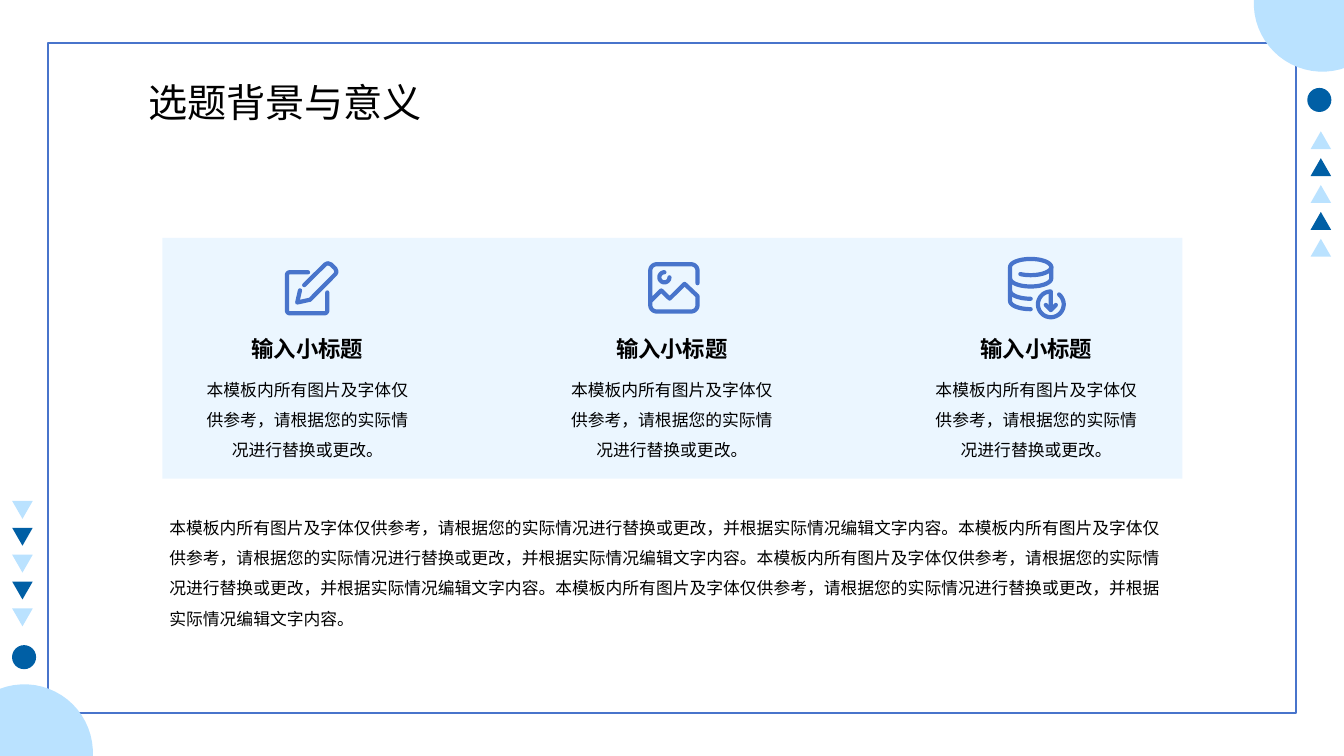
from math import cos, radians, sin

from lxml import etree
from pptx import Presentation
from pptx.dml.color import RGBColor
from pptx.enum.shapes import MSO_SHAPE
from pptx.enum.text import MSO_ANCHOR, MSO_AUTO_SIZE, PP_ALIGN
from pptx.oxml.ns import qn
from pptx.util import Pt

RECT, OVAL, TRIANGLE = MSO_SHAPE.RECTANGLE, MSO_SHAPE.OVAL, MSO_SHAPE.ISOSCELES_TRIANGLE
LEFT, CENTER = PP_ALIGN.LEFT, PP_ALIGN.CENTER
COLORS = {"blue": "4874CB", "light": "BAE2FF", "dark": "005FA5", "text": "000000"}
FONT = "Calibri"
ICON_STROKE = 3

SENTENCE = "本模板内所有图片及字体仅供参考，请根据您的实际情况进行替换或更改"
CARD_TEXT = SENTENCE + "。"
SUMMARY = (SENTENCE + "，并根据实际情况编辑文字内容。") * 4
HEADING = "输入小标题"


def rgb(name):
    return RGBColor.from_string(COLORS[name])


def style(sp, fill=None, line=None, width=1):
    sp.shadow.inherit = False
    if fill:
        sp.fill.solid()
        sp.fill.fore_color.rgb = rgb(fill)
    else:
        sp.fill.background()
    if line:
        sp.line.color.rgb = rgb(line)
        sp.line.width = Pt(width)
    else:
        sp.line.fill.background()
    return sp


def add_shape(s, kind, x, y, w, h, **look):
    return style(s.shapes.add_shape(kind, Pt(x), Pt(y), Pt(w), Pt(h)), **look)


def add_outline(s, points, close=False, **look):
    points = [(Pt(x), Pt(y)) for x, y in points]
    fb = s.shapes.build_freeform(*points[0])
    fb.add_line_segments(points[1:], close=close)
    return style(fb.convert_to_shape(), **look)


def arc(cx, cy, rx, ry, start, end):
    steps = max(4, round(abs(end - start) / 6))
    angles = [radians(start + (end - start) * i / steps) for i in range(steps + 1)]
    return [(cx + rx * cos(a), cy + ry * sin(a)) for a in angles]


def write(sp, text, size, bold=False, align=LEFT, spacing=1.0, inset=(0, 0)):
    tf = sp.text_frame
    tf.word_wrap = True
    tf.auto_size = MSO_AUTO_SIZE.NONE
    tf.vertical_anchor = MSO_ANCHOR.TOP
    tf.margin_left = tf.margin_right = Pt(inset[0])
    tf.margin_top = tf.margin_bottom = Pt(inset[1])
    p = tf.paragraphs[0]
    p.alignment = align
    p.line_spacing = spacing
    r = p.add_run()
    r.text = text
    r.font.name = FONT
    r.font.size = Pt(size)
    r.font.bold = bold
    r.font.color.rgb = rgb("text")


def add_text(s, x, y, w, h, text, size, **fmt):
    write(s.shapes.add_textbox(Pt(x), Pt(y), Pt(w), Pt(h)), text, size, **fmt)


def add_title(s, text):
    sp = s.shapes.title
    sp.left, sp.top, sp.width, sp.height = Pt(105.8), Pt(56.2), Pt(259.2), Pt(33.8)
    write(sp, text, 28)


def add_panel(s):
    sp = add_shape(s, RECT, 116, 170, 728.6, 172, fill="light")
    color = sp.fill._xPr.find(qn("a:solidFill"))[0]
    etree.SubElement(color, qn("a:alpha")).set("val", "28000")


def add_corners(s):
    quarter = arc(944.6, 2.2, 49, 49, 69, 183) + [(895.7, 0), (962, 0)]
    add_outline(s, quarter, close=True, fill="light")
    add_outline(s, [(962 - x, 540 - y) for x, y in quarter], close=True, fill="light")


def add_marker_column(s, x, y, rotation, dot_x, dot_y):
    for i in range(5):
        color = "dark" if i % 2 else "light"
        sp = add_shape(s, TRIANGLE, x, y + 19.2 * i, 14.7, 12.8, fill=color)
        sp.rotation = rotation
    add_shape(s, OVAL, dot_x, dot_y, 17.2, 17.2, fill="dark")


def edit_strokes():
    page = ([(16.6, 8)] + arc(3.5, 10, 2, 2, -90, -180) + arc(3.5, 35.3, 2, 2, 180, 90)
            + arc(28.3, 35.3, 2, 2, 90, 0) + [(30.3, 22.4)])
    pencil = [(13.8, 17.2), (28.8, 2.4), (30.6, 1.5), (33, 2.4), (36, 5.3), (36.9, 7.6),
              (36.2, 9.2), (18, 27.6), (8.8, 29.6), (10.8, 20.9)]
    return [page, pencil]


def image_strokes():
    near, far, radius = 6, 30.7, 4.5
    corners = [(far, near, 0), (near, near, -90), (near, far, -180), (far, far, -270)]
    frame = [(35.2, 15)]
    for cx, cy, start in corners:
        frame += arc(cx, cy, radius, radius, start, start - 90)
    hills = [(35.2, 24.2), (26, 15.5), (15.3, 26), (9.3, 20.2), (1.5, 28)]
    return [frame + hills, arc(11.6, 10.8, 3.6, 3.6, -90, -360)]


def database_strokes():
    cx, rx, ry = 16.2, 14.7, 5.8
    top = arc(cx, 7.2, rx, ry, 120, -180)
    base = arc(cx, 31.5, rx, ry, 180, 90)
    middle = arc(cx, 15.3, rx, ry, 180, 0) + [(cx + rx, 7.2)]
    lower = arc(cx, 24, rx, ry, 180, 90)
    ring = [(30.6, 37.8)] + arc(30.6, 33.8, 9.2, 9.2, -90, -410)
    arrow = [(27, 34.2), (30.6, 37.8), (34.2, 34.2)]
    return [top + base, middle, lower, ring, arrow]


def add_icon(s, x, y, strokes):
    for stroke in strokes:
        points = [(x + px, y + py) for px, py in stroke]
        sp = add_outline(s, points, line="blue", width=ICON_STROKE)
        ln = sp.line._get_or_add_ln()
        ln.set("cap", "rnd")
        etree.SubElement(ln, qn("a:round"))


def add_card(s, x):
    add_text(s, x, 261.4, 157, 67.7, CARD_TEXT, 12, align=CENTER, spacing=1.5, inset=(5, 2.5))
    add_text(s, x, 236.2, 157, 26.6, HEADING, 16, bold=True, align=CENTER, inset=(7.2, 3.6))


def main():
    prs = Presentation()
    prs.slide_width, prs.slide_height = Pt(960), Pt(540)
    s = prs.slides.add_slide(prs.slide_layouts[5])
    add_shape(s, RECT, 34.4, 30.8, 891.5, 478.6, line="blue")
    add_corners(s)
    add_marker_column(s, 936.1, 93.8, 0, 933.8, 62.8)
    add_marker_column(s, 8.7, 357.8, 180, 8.6, 460.8)
    add_panel(s)
    icons = [(203.5, 186.5, edit_strokes()), (463, 187.3, image_strokes()),
             (720, 183.6, database_strokes())]
    for i, (x, y, strokes) in enumerate(icons):
        add_icon(s, x, y, strokes)
        add_card(s, 141.1 + 260.3 * i)
    add_text(s, 116, 360, 728.6, 89.3, SUMMARY, 12, spacing=1.5, inset=(5, 2.5))
    add_title(s, "选题背景与意义")
    prs.save("out.pptx")


if __name__ == "__main__":
    main()
